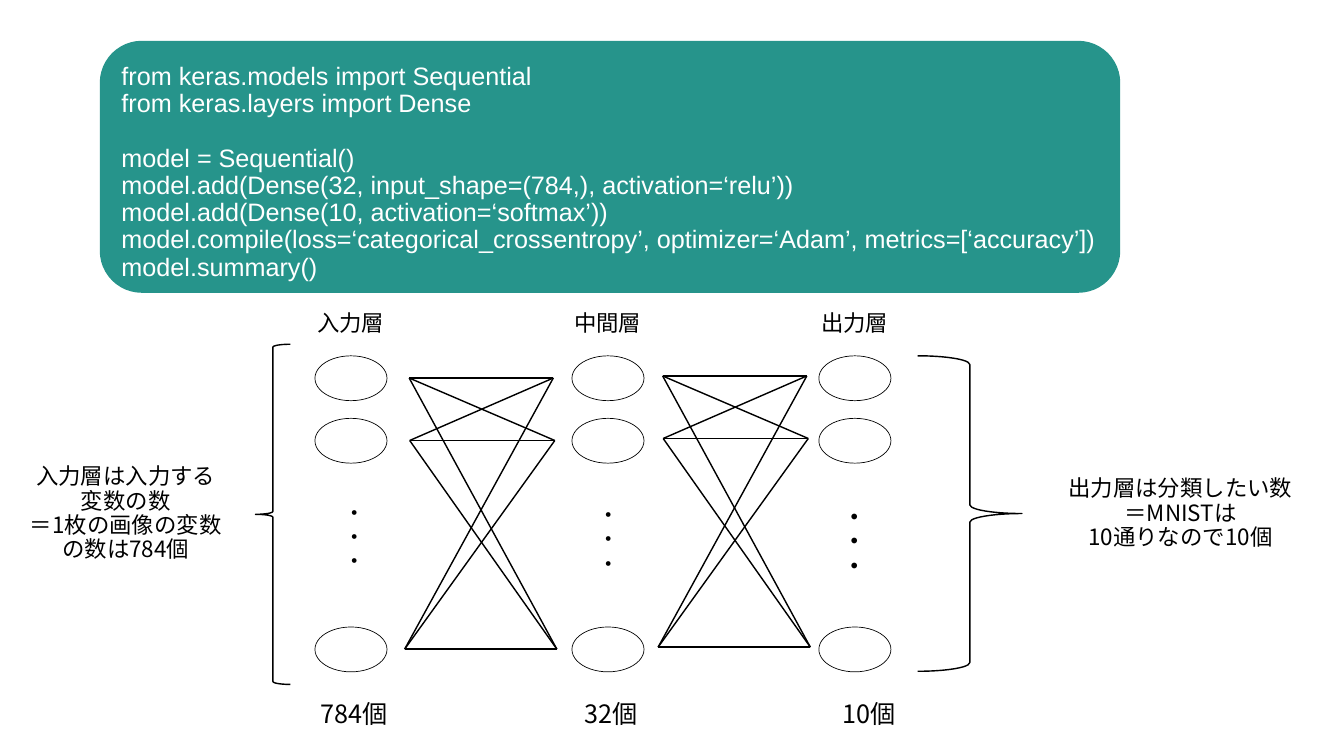
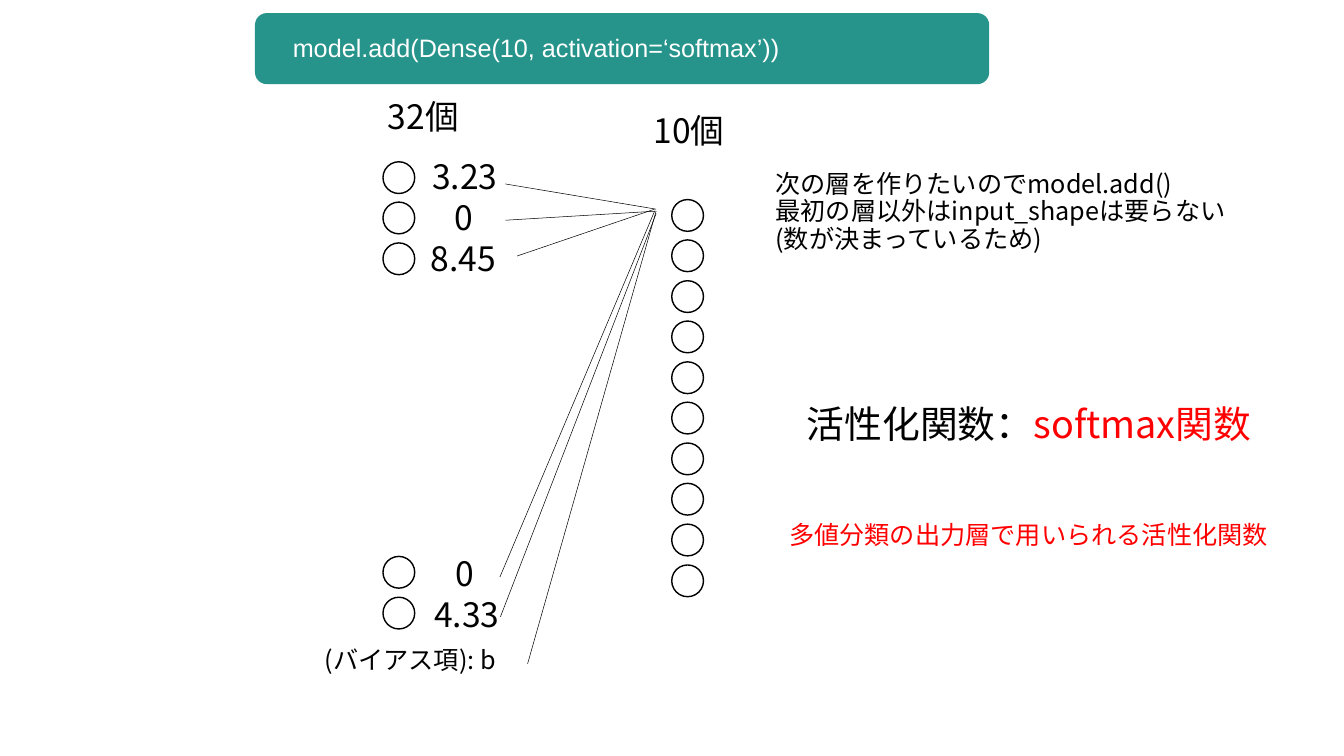
from itertools import product

from lxml import etree
from pptx import Presentation
from pptx.dml.color import RGBColor
from pptx.enum.shapes import MSO_CONNECTOR, MSO_SHAPE
from pptx.enum.text import MSO_ANCHOR, MSO_AUTO_SIZE, PP_ALIGN
from pptx.oxml.ns import qn
from pptx.util import Pt

PX = 9144
OVAL, BAND = MSO_SHAPE.OVAL, MSO_SHAPE.ROUNDED_RECTANGLE
LBRACE, RBRACE = MSO_SHAPE.LEFT_BRACE, MSO_SHAPE.RIGHT_BRACE
STRAIGHT = MSO_CONNECTOR.STRAIGHT
LEFT, MID = PP_ALIGN.LEFT, PP_ALIGN.CENTER
TOP, CENTRE = MSO_ANCHOR.TOP, MSO_ANCHOR.MIDDLE
GROW = MSO_AUTO_SIZE.SHAPE_TO_FIT_TEXT
INK, TEAL, WHITE, RED = "000000", "26948B", "FFFFFF", "FF0000"
SANS, CODE, DOTS = "Noto Sans CJK JP", "Arial", "Calibri"


def emu(*vals):
    return [round(v * PX) for v in vals]


def paint(fmt, hue):
    fmt.rgb = RGBColor.from_string(hue)


def apply(item, style):
    for name, val in style.items():
        setattr(item, name, val)


class Deck:
    """Draws styled elements on the current slide."""

    def __init__(self, wide, high):
        self.prs = Presentation()
        self.prs.slide_width, self.prs.slide_height = emu(wide, high)
        self.para = {"line_spacing": 0.9}
        self.slim = {f"margin_{side}": emu(6)[0]
                     for side in ("left", "top", "right", "bottom")}

    def page(self):
        self.shapes = self.prs.slides.add_slide(self.prs.slide_layouts[6]).shapes

    def shape(self, kind, box, fill=None, width=None):
        shp = self.shapes.add_shape(kind, *emu(*box))
        shp.shadow.inherit = False
        if fill:
            shp.fill.solid()
            paint(shp.fill.fore_color, fill)
        else:
            shp.fill.background()
        if width:
            shp.line.width = Pt(width)
            paint(shp.line.color, INK)
        else:
            shp.line.fill.background()

    def line(self, start, end, width):
        link = self.shapes.add_connector(STRAIGHT, *emu(*start, *end))
        link.line.width = Pt(width)
        paint(link.line.color, INK)
        etree.SubElement(link._element.spPr, qn("a:effectLst"))

    def text(self, box, lines, size, align=MID, anchor=TOP, font=SANS,
             hues=(INK,), bold=False, gaps=None):
        frame = self.shapes.add_textbox(*emu(*box)).text_frame
        apply(frame, {"word_wrap": True, "auto_size": GROW,
                      "vertical_anchor": anchor})
        if anchor == CENTRE:
            apply(frame, self.slim)
        for i, words in enumerate(lines):
            para = frame.add_paragraph() if i else frame.paragraphs[0]
            apply(para, {**self.para, "alignment": align})
            if gaps and i in gaps:
                para.space_before = Pt(gaps[i])
            for part, hue in zip(words.split("|"), hues):
                run = para.add_run()
                run.text = part
                apply(run.font, {"size": Pt(size), "name": font, "bold": bold})
                paint(run.font.color, hue)
                etree.SubElement(run._r.get_or_add_rPr(), qn("a:ea"), typeface=SANS)

    def code(self, band, box, lines, gaps=None):
        self.shape(BAND, band, fill=TEAL)
        self.text(box, lines, 36, LEFT, CENTRE, CODE, (WHITE,), gaps=gaps)


def draw_net(deck):
    deck.page()
    deck.code((198, 81, 2025, 500), (235, 119, 2085, 447), [
        "from keras.models import Sequential",
        "from keras.layers import Dense",
        "model = Sequential()",
        "model.add(Dense(32, input_shape=(784,), activation=‘relu’))",
        "model.add(Dense(10, activation=‘softmax’))",
        "model.compile(loss=‘categorical_crossentropy’, optimizer=‘Adam’,"
        " metrics=[‘accuracy’])",
        "model.summary()",
    ], gaps={2: 39})

    layers = [("入力層", "784個", 625, 545, 990), ("中間層", "32個", 1135, 1049, 994),
              ("出力層", "10個", 1625, 1539, 998)]
    for i, (name, count, left, dot, top) in enumerate(layers):
        for y in (706, 830, 1244):
            deck.shape(OVAL, (left, y, 143, 89), width=1)
        deck.text((left - 87, 613, 316, 60), [name], 32, anchor=CENTRE)
        deck.text((552 + 510.5 * i, 1386, 302, 66), [count], 36, anchor=CENTRE)
        deck.text((dot, top, 316, 157), ["・"] * 3, 32, anchor=CENTRE,
                  font=DOTS, bold=i == 2)

    starts = [(812, 750), (813, 874), (803, 1288)]
    ends = [(1098, 750), (1101, 874), (1105, 1288)]
    for dx, dy in ((0, 0), (503, -4)):
        for (x, y), (u, v) in product(starts, ends):
            deck.line((x + dx, y + dy), (u + dx, v + dy), 2)

    deck.shape(RBRACE, (1821, 706, 207, 626), width=2)
    deck.shape(LBRACE, (507, 683, 69, 675), width=2)
    deck.text((2082, 941, 521, 157),
              ["出力層は分類したい数", "＝MNISTは", "10通りなので10個"],
              32, anchor=CENTRE)
    deck.text((47, 917, 405, 205),
              ["入力層は入力する変数の数", "＝1枚の画像の変数の数は784個"],
              32, anchor=CENTRE)


def draw_last(deck):
    deck.page()
    for y in (321, 401, 482, 1104, 1185):
        deck.shape(OVAL, (760, y, 63, 63), width=2)
    for i in range(10):
        deck.shape(OVAL, (1333, 396 + i * 725 // 9, 63, 63), width=2)

    deck.code((506, 26, 1457, 141), (575, 64, 1452, 66),
              ["model.add(Dense(10, activation=‘softmax’))"])
    deck.text((696, 195, 288, 83), ["32個"], 48)
    deck.text((1223, 222, 288, 83), ["10個"], 48)
    for val, x, y in (("3.23", 838, 314), ("0", 835, 395), ("8.45", 835, 477),
                      ("0", 838, 1102), ("4.33", 842, 1182)):
        deck.text((x, y, 169, 83), [val], 48)
    deck.text((602, 1281, 424, 65), ["(バイアス項): b"], 36)

    for start, end in (((1003, 365), (1302, 415)), ((1003, 437), (1301, 419)),
                       ((1026, 508), (1299, 415)), ((992, 1145), (1299, 419)),
                       ((993, 1224), (1302, 424)), ((1047, 1317), (1302, 419))):
        deck.line(start, end, 0.75)

    deck.text((1529, 336, 1071, 228),
              ["次の層を作りたいのでmodel.add()",
               "最初の層以外はinput_shapeは要らない",
               "(数が決まっているため)"], 36, LEFT)
    deck.text((1591, 800, 952, 92), ["活性化関数：|softmax関数"], 54, LEFT,
              hues=(INK, RED))
    deck.text((1556, 1032, 1020, 65), ["多値分類の出力層で用いられる活性化関数"],
              36, LEFT, hues=(RED,))


def main():
    deck = Deck(2667, 1500)
    draw_net(deck)
    draw_last(deck)
    deck.prs.save("out.pptx")


if __name__ == "__main__":
    main()
